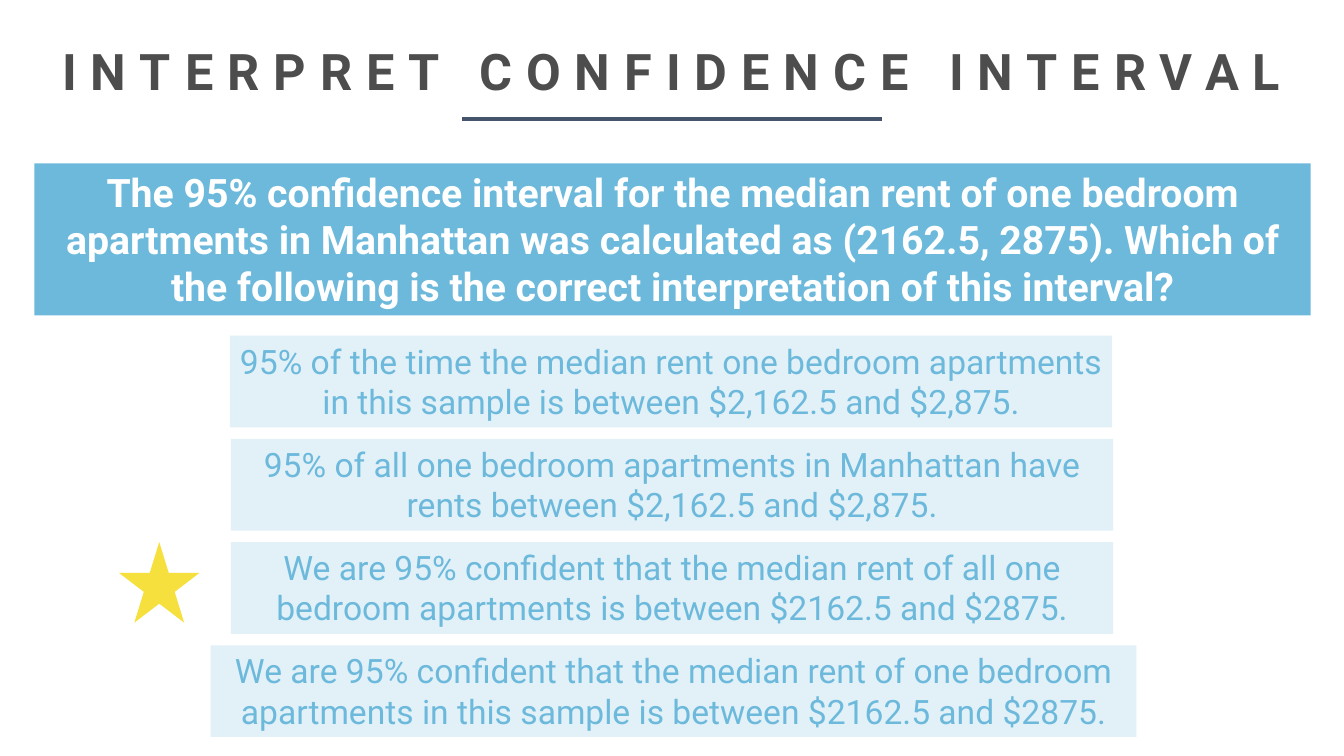
from lxml import etree
from pptx import Presentation
from pptx.dml.color import RGBColor
from pptx.enum.shapes import MSO_CONNECTOR, MSO_SHAPE
from pptx.enum.text import MSO_ANCHOR, MSO_AUTO_SIZE, PP_ALIGN
from pptx.oxml.ns import qn
from pptx.util import Inches, Pt

STRAIGHT = MSO_CONNECTOR.STRAIGHT
RECTANGLE = MSO_SHAPE.RECTANGLE
STAR = MSO_SHAPE.STAR_5_POINT
MIDDLE, TOP = MSO_ANCHOR.MIDDLE, MSO_ANCHOR.TOP
GROW = MSO_AUTO_SIZE.SHAPE_TO_FIT_TEXT
CENTER = PP_ALIGN.CENTER

FONT = "Roboto"
COLORS = {
    "title": "4D4D4D",
    "rule": "44546A",
    "question": "6CB9DC",
    "answer": "E2F1F8",
    "white": "FFFFFF",
    "star": "F6E03E",
}
SLIDE_WIDTH, SLIDE_HEIGHT = 13.33, 7.5
ANSWER_PITCH, ANSWER_HEIGHT = 1.024, 0.91
CORRECT_ANSWER = 2

QUESTION = (
    "The 95% confidence interval for the median rent of one bedroom apartments "
    "in Manhattan was calculated as (2162.5, 2875). Which of the following is "
    "the correct interpretation of this interval?"
)
ANSWERS = [
    (2.28, 8.75, "95% of the time the median rent one bedroom apartments "
     "in this sample is between $2,162.5 and $2,875."),
    (2.29, 8.75, "95% of all one bedroom apartments in Manhattan have "
     "rents between $2,162.5 and $2,875."),
    (2.29, 8.75, "We are 95% confident that the median rent of all one "
     "bedroom apartments is between $2162.5 and $2875."),
    (2.09, 9.18, "We are 95% confident that the median rent of one bedroom "
     "apartments in this sample is between $2162.5 and $2875."),
]


def color(name):
    """Return the named palette colour."""
    return RGBColor.from_string(COLORS[name])


def write_text(shape, text, size, color_name, bold=False, anchor=TOP):
    """Write one centred, wrapped paragraph into a shape and return its run."""
    frame = shape.text_frame
    frame.word_wrap = True
    frame.vertical_anchor = anchor
    paragraph = frame.paragraphs[0]
    paragraph.alignment = CENTER
    run = paragraph.add_run()
    run.text = text
    run.font.name = FONT
    run.font.size = Pt(size)
    run.font.bold = bold
    run.font.color.rgb = color(color_name)
    return run


def add_flat_shape(slide, kind, box, fill):
    """Add a shadowless preset shape with a plain fill and no outline."""
    shape = slide.shapes.add_shape(kind, *map(Inches, box))
    shape.shadow.inherit = False
    shape.fill.solid()
    shape.fill.fore_color.rgb = color(fill)
    shape.line.fill.background()
    return shape


def add_text_panel(slide, box, fill, text, size, color_name, bold=False):
    """Add a filled rectangle that grows with its text."""
    panel = add_flat_shape(slide, RECTANGLE, box, fill)
    write_text(panel, text, size, color_name, bold)
    panel.text_frame.auto_size = GROW


def add_heading(slide, box, text):
    """Add the letter-spaced title with a centred rule under it."""
    left, top, width, height = box
    title = slide.shapes.add_textbox(*map(Inches, box))
    run = write_text(title, text, 36, "title", True, MIDDLE)
    run.font._element.set("spc", "1000")
    title.text_frame.paragraphs[0].line_spacing = 1.1
    center, rule_top, rule_width = left + width / 2, top + height + 0.01, 4.17
    ends = (center - rule_width / 2, rule_top, center + rule_width / 2, rule_top)
    rule = slide.shapes.add_connector(STRAIGHT, *map(Inches, ends))
    rule.line.color.rgb = color("rule")
    rule.line.width = Pt(3)
    etree.SubElement(rule._element.spPr, qn("a:effectLst"))


def add_answers(slide, top):
    """Stack the answer panels at an equal pitch and star the correct one."""
    for row, (left, width, text) in enumerate(ANSWERS):
        box = (left, top + row * ANSWER_PITCH, width, ANSWER_HEIGHT)
        add_text_panel(slide, box, "answer", text, 24, "question")
    star_box = (1.18, top + CORRECT_ANSWER * ANSWER_PITCH, 0.8, 0.8)
    add_flat_shape(slide, STAR, star_box, "star")


def main():
    """Build the slide and save it."""
    presentation = Presentation()
    presentation.slide_width = Inches(SLIDE_WIDTH)
    presentation.slide_height = Inches(SLIDE_HEIGHT)
    slide = presentation.slides.add_slide(presentation.slide_layouts[6])
    add_heading(slide, (0, 0.17, SLIDE_WIDTH, 1), "INTERPRET CONFIDENCE INTERVAL")
    question_box = (0.34, 1.62, 12.66, 1.51)
    add_text_panel(slide, question_box, "question", QUESTION, 28, "white", True)
    add_answers(slide, 3.33)
    presentation.save("out.pptx")


if __name__ == "__main__":
    main()
